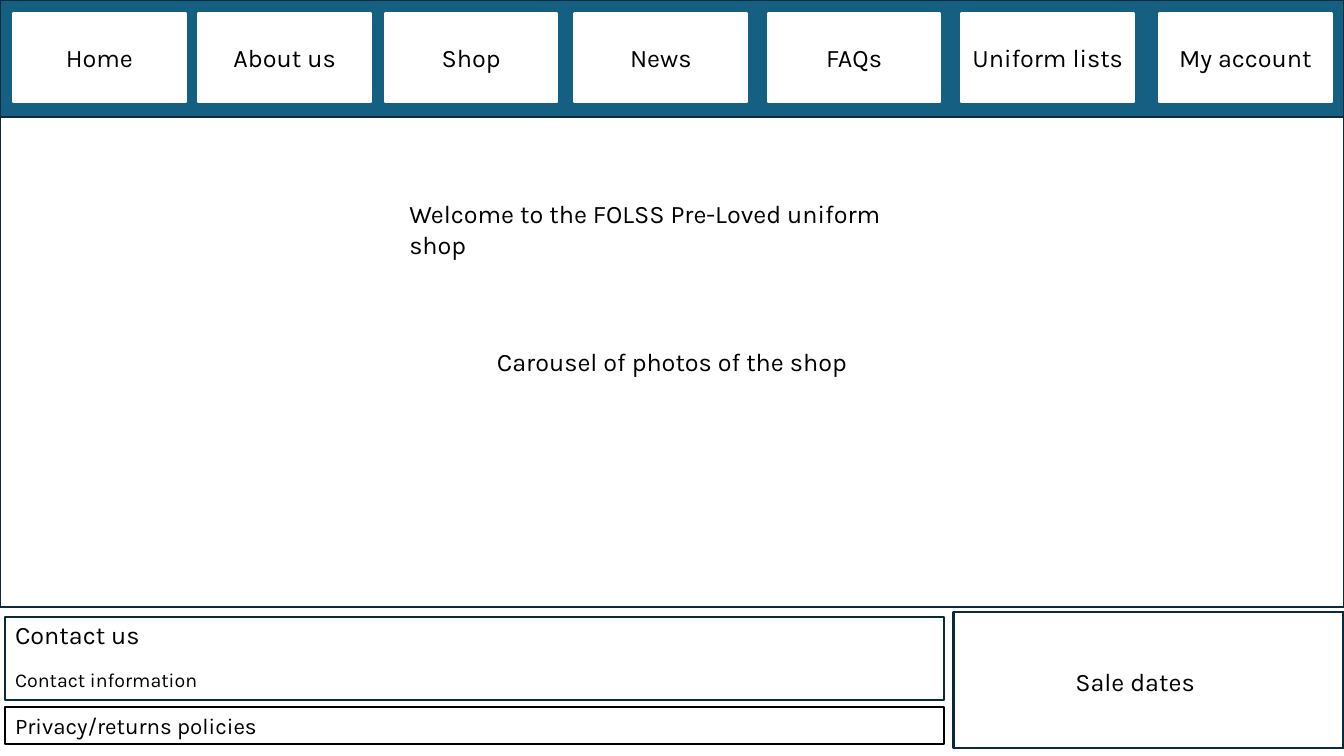
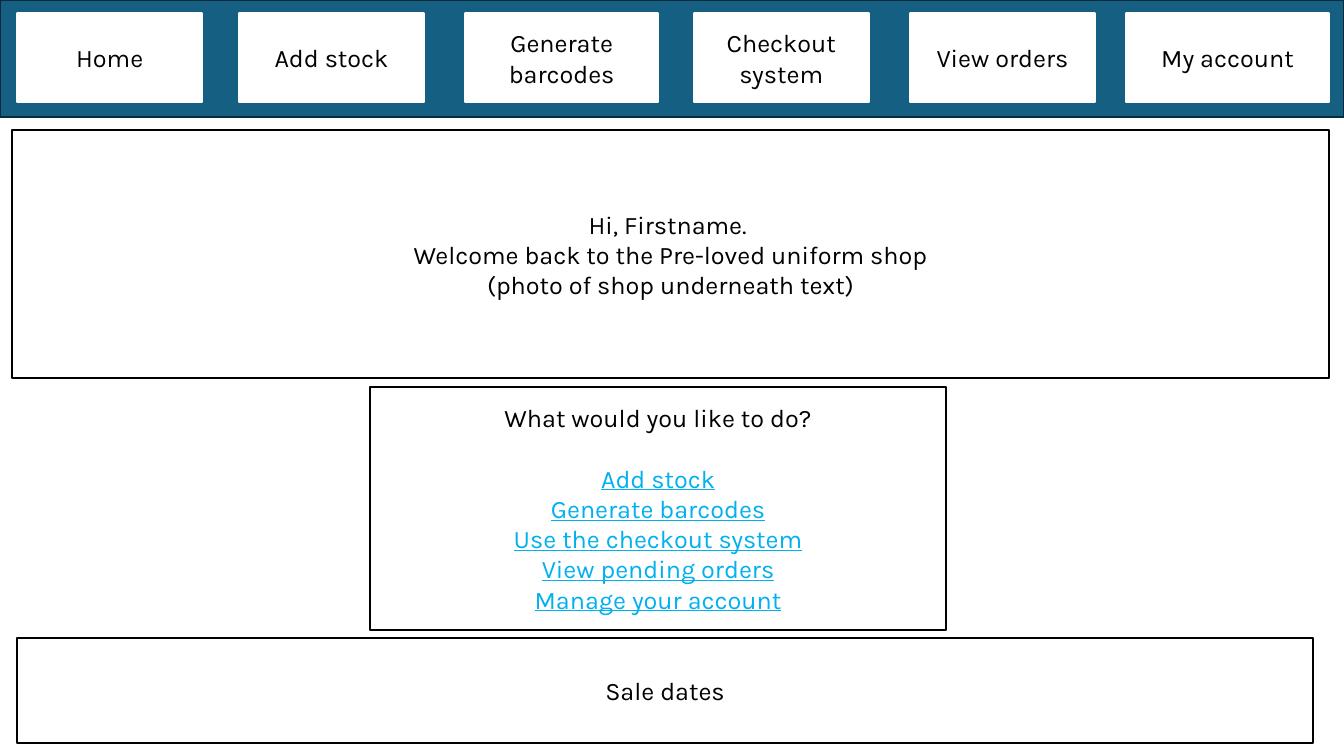
from dataclasses import dataclass

from lxml.etree import SubElement
from pptx import Presentation
from pptx.dml.color import RGBColor
from pptx.enum.shapes import MSO_SHAPE
from pptx.enum.text import MSO_ANCHOR, MSO_AUTO_SIZE, PP_ALIGN
from pptx.oxml.ns import qn
from pptx.util import Cm, Pt

FONT = "Karla"
BLACK, WHITE, LINK = "000000", "FFFFFF", "00B0F0"
BAND, BAND_EDGE, PANEL_EDGE = "156082", "092A39", "0E2841"
PAGE_WIDTH, PAGE_HEIGHT, BAND_HEIGHT = 33.87, 19.05, 2.95
BUTTON_TOP, BUTTON_HEIGHT = 0.34, 2.24
TITLE_AND_CONTENT, TITLE_ONLY = 1, 5


@dataclass(frozen=True)
class Area:
    """A rectangle in centimetres."""
    left: float
    top: float
    width: float
    height: float

    def lengths(self) -> tuple:
        return Cm(self.left), Cm(self.top), Cm(self.width), Cm(self.height)


@dataclass(frozen=True)
class Button:
    label: str
    left: float
    width: float = 4.35


@dataclass(frozen=True)
class Line:
    text: str
    size: float = 18
    colour: str = BLACK
    underline: bool = False
    gap_after: float = 0


SHOP_BUTTONS = [
    Button("Home", 0.33),
    Button("About us", 5),
    Button("Shop", 9.7),
    Button("News", 14.48),
    Button("FAQs", 19.35),
    Button("Uniform lists", 24.23),
    Button("My account", 29.21),
]
STAFF_BUTTONS = [
    Button("Home", 0.43, 4.67),
    Button("Add stock", 6.02, 4.67),
    Button("Generate barcodes", 11.73, 4.85),
    Button("Checkout system", 17.48, 4.42),
    Button("View orders", 22.94, 4.65),
    Button("My account", 28.37, 5.13),
]
STAFF_TASKS = [
    "Add stock",
    "Generate barcodes",
    "Use the checkout system",
    "View pending orders",
    "Manage your account",
]


def rgb(value: str) -> RGBColor:
    return RGBColor.from_string(value)


def outline(box, fill: str, edge: str) -> None:
    box.fill.solid()
    box.fill.fore_color.rgb = rgb(fill)
    box.line.color.rgb = rgb(edge)
    box.line.width = Pt(1.5)


def write(box, *lines: Line, align=PP_ALIGN.CENTER, anchor=MSO_ANCHOR.MIDDLE) -> None:
    """Fill a shape, text box or placeholder with one paragraph per line."""
    frame = box.text_frame
    frame.word_wrap = True
    frame.auto_size = MSO_AUTO_SIZE.NONE
    frame.vertical_anchor = anchor
    for index, line in enumerate(lines):
        para = frame.add_paragraph() if index else frame.paragraphs[0]
        para.alignment = align
        para.space_before = Pt(0)
        para.space_after = Pt(line.gap_after)
        span = para.add_run()
        span.text = line.text
        font = span.font
        font.name, font.size = FONT, Pt(line.size)
        font.color.rgb = rgb(line.colour)
        if line.underline:
            font.underline = True


def write_left(box, *lines: Line) -> None:
    write(box, *lines, align=PP_ALIGN.LEFT, anchor=MSO_ANCHOR.TOP)


def place(box, area: Area) -> None:
    box.left, box.top, box.width, box.height = area.lengths()


def remove_bullets(box) -> None:
    for para in box.text_frame.paragraphs:
        properties = para._p.get_or_add_pPr()
        properties.set("marL", "0")
        properties.set("indent", "0")
        SubElement(properties, qn("a:buNone"))


def add_box(page, area: Area, *lines: Line, fill: str = WHITE, edge: str = BLACK):
    box = page.shapes.add_shape(MSO_SHAPE.RECTANGLE, *area.lengths())
    box.shadow.inherit = False
    outline(box, fill, edge)
    write(box, *lines)
    return box


def add_label(page, area: Area, *lines: Line):
    box = page.shapes.add_textbox(*area.lengths())
    write_left(box, *lines)
    return box


def add_page(deck, layout: int, buttons: list[Button]):
    """Add a slide with the navigation band across its top."""
    page = deck.slides.add_slide(deck.slide_layouts[layout])
    add_box(page, Area(0, 0, PAGE_WIDTH, BAND_HEIGHT), fill=BAND, edge=BAND_EDGE)
    for button in buttons:
        area = Area(button.left, BUTTON_TOP, button.width, BUTTON_HEIGHT)
        add_box(page, area, Line(button.label), edge=WHITE)
    return page


def add_shop_home(deck) -> None:
    page = add_page(deck, TITLE_ONLY, SHOP_BUTTONS)
    panel = add_box(page, Area(0, BAND_HEIGHT, PAGE_WIDTH, 12.34),
                    Line("Carousel of photos of the shop"), edge=PANEL_EDGE)
    title = page.shapes.title
    place(title, Area(10.06, 4.88, 13.77, 1.02))
    write_left(title, Line("Welcome to the FOLSS Pre-Loved uniform shop"))
    panel._element.addnext(title._element)

    add_box(page, Area(24.03, 15.42, 9.83, 3.43), edge=BAND_EDGE)
    add_label(page, Area(26.85, 16.66, 7.02, 1.02), Line("Sale dates"))
    add_box(page, Area(0.13, 15.55, 23.67, 2.08), edge=BAND_EDGE)
    add_label(page, Area(0.13, 15.49, 22.99, 2.08),
              Line("Contact us", gap_after=13), Line("Contact information", size=14))
    policies = add_label(page, Area(0.13, 17.81, 23.67, 0.94),
                         Line("Privacy/returns policies", size=16))
    outline(policies, WHITE, BLACK)


def add_staff_home(deck) -> None:
    page = add_page(deck, TITLE_AND_CONTENT, STAFF_BUTTONS)
    greeting, tasks = page.shapes.title, page.placeholders[1]

    place(greeting, Area(0.3, 3.28, 33.2, 6.25))
    outline(greeting, WHITE, BLACK)
    write(greeting,
          Line("Hi, Firstname. "),
          Line("Welcome back to the Pre-loved uniform shop"),
          Line("(photo of shop underneath text)"))

    place(tasks, Area(9.32, 9.75, 14.53, 6.12))
    outline(tasks, WHITE, BLACK)
    write(tasks,
          Line("What would you like to do?", gap_after=21.5),
          *(Line(task, colour=LINK, underline=True) for task in STAFF_TASKS))
    remove_bullets(tasks)

    add_box(page, Area(0.43, 16.08, 32.66, 2.64), Line("Sale dates"))


def main() -> None:
    deck = Presentation()
    deck.slide_width, deck.slide_height = Cm(PAGE_WIDTH), Cm(PAGE_HEIGHT)
    add_shop_home(deck)
    add_staff_home(deck)
    deck.save("out.pptx")


if __name__ == "__main__":
    main()
